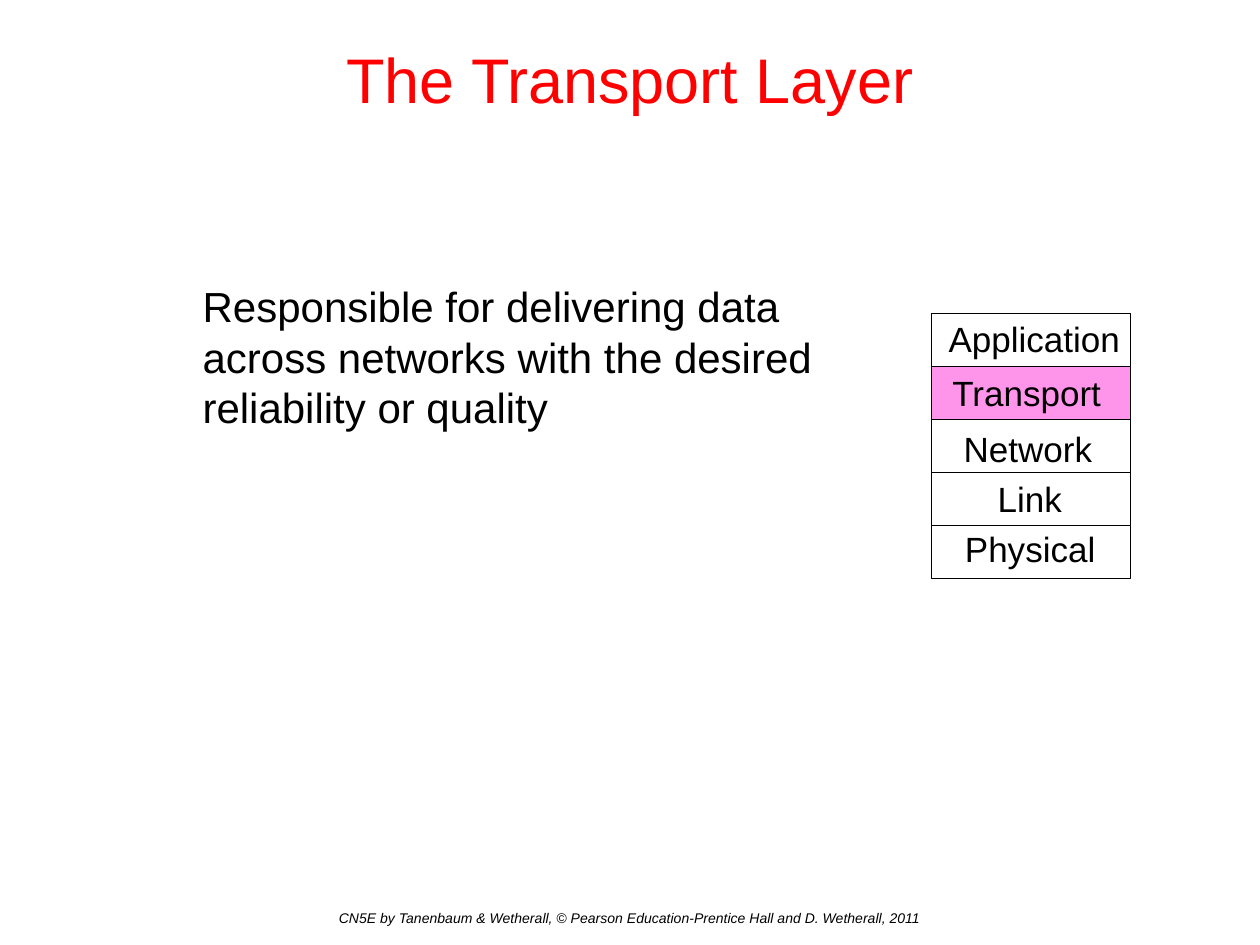
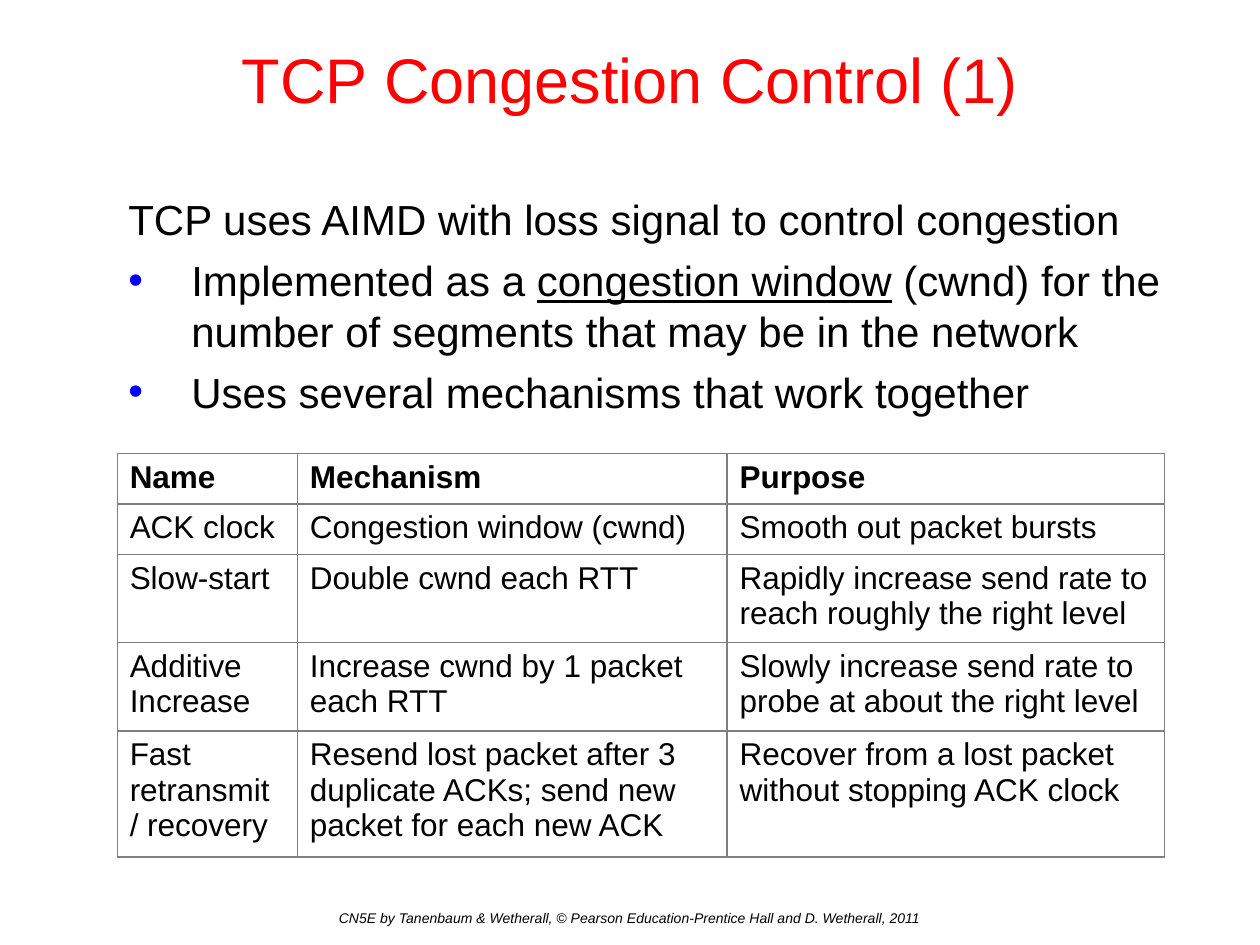
from lxml.etree import SubElement
from pptx import Presentation
from pptx.dml.color import RGBColor
from pptx.enum.shapes import MSO_SHAPE as Shape
from pptx.enum.text import MSO_ANCHOR as Anchor, MSO_AUTO_SIZE as AutoSize, PP_ALIGN as Align
from pptx.oxml.ns import qn
from pptx.util import Inches, Pt

FONT = "Arial"
RED = RGBColor(0xFF, 0x00, 0x00)
BLUE = RGBColor(0x00, 0x00, 0xFF)
BLACK = RGBColor(0x00, 0x00, 0x00)
WHITE = RGBColor(0xFF, 0xFF, 0xFF)
GRAY = RGBColor(0x7F, 0x7F, 0x7F)
PINK = RGBColor(0xFF, 0x2B, 0xD8)

FOOTER = ("CN5E by Tanenbaum & Wetherall, © Pearson Education-Prentice Hall "
          "and D. Wetherall, 2011")

# Paragraphs are (bulleted, [(text, underlined), ...])
LAYER_TITLE = "The Transport Layer"
LAYER_BODY = [
    (False, [("Responsible for delivering data across networks with the "
              "desired reliability or quality", False)]),
]
# Layer name, then left, top and width of its label
LAYERS = [
    ("Application", 7.43, 2.47, 1.56),
    ("Transport", 7.46, 2.9, 1.39),
    ("Network", 7.55, 3.34, 1.22),
    ("Link", 7.82, 3.74, 0.71),
    ("Physical", 7.56, 4.14, 1.26),
]
CURRENT_LAYER = "Transport"
STACK_LEFT, STACK_TOP, LAYER_WIDTH, LAYER_HEIGHT = 7.39, 2.49, 1.58, 0.42
LABEL_HEIGHT = 0.44

CONGESTION_TITLE = "TCP Congestion Control (1)"
CONGESTION_BODY = [
    (False, [("TCP uses AIMD with loss signal to control congestion", False)]),
    (True, [("Implemented as a ", False), ("congestion window", True),
            (" (cwnd) for the number of segments that may be in the network", False)]),
    (True, [("Uses several mechanisms that work together", False)]),
]
MECHANISMS = [
    ("Name", "Mechanism", "Purpose"),
    ("ACK clock", "Congestion window (cwnd)", "Smooth out packet bursts"),
    ("Slow-start", "Double cwnd each RTT",
     "Rapidly increase send rate to reach roughly the right level"),
    ("Additive Increase", "Increase cwnd by 1 packet each RTT",
     "Slowly increase send rate to probe at about the right level"),
    ("Fast retransmit / recovery",
     "Resend lost packet after 3 duplicate ACKs; send new packet for each new ACK",
     "Recover from a lost packet without stopping ACK clock"),
]
COLUMN_WIDTHS = (1.43, 3.41, 3.47)
ROW_HEIGHTS = (0.4, 0.4, 0.7, 0.7, 1.0)


def add_run(paragraph, text, size, color=BLACK, bold=False, italic=False, underline=False):
    run = paragraph.add_run()
    run.text = text
    font = run.font
    font.name, font.size, font.color.rgb = FONT, Pt(size), color
    font.bold, font.italic, font.underline = bold, italic, underline


def add_frame(shapes, left, top, width, height):
    box = shapes.add_textbox(Inches(left), Inches(top), Inches(width), Inches(height))
    box.text_frame.word_wrap = True
    return box.text_frame


def add_slide(deck, title):
    """Add a slide with the shared title and footer."""
    slide = deck.slides.add_slide(deck.slide_layouts[6])
    heading = add_frame(slide.shapes, 0, 0, 10, 1.25)
    heading.vertical_anchor = Anchor.MIDDLE
    footer = add_frame(slide.shapes, 0, 7.17, 10, 0.33)
    for frame in (heading, footer):
        frame.paragraphs[0].alignment = Align.CENTER
    add_run(heading.paragraphs[0], title, 36, RED)
    add_run(footer.paragraphs[0], FOOTER, 8, italic=True)
    return slide


def add_bullet(paragraph):
    properties = paragraph._p.get_or_add_pPr()
    properties.set("marL", str(Inches(0.5)))
    properties.set("indent", str(-Inches(0.5)))
    color = SubElement(properties, qn("a:buClr"))
    SubElement(color, qn("a:srgbClr"), val=str(BLUE))
    SubElement(properties, qn("a:buFont"), typeface=FONT)
    SubElement(properties, qn("a:buChar"), char="•")


def add_body(slide, paragraphs, left, top, width, height):
    frame = add_frame(slide.shapes, left, top, width, height)
    for index, (bulleted, runs) in enumerate(paragraphs):
        paragraph = frame.add_paragraph() if index else frame.paragraphs[0]
        if bulleted:
            add_bullet(paragraph)
        if index:
            paragraph.space_before = Pt(6)
        for text, underlined in runs:
            add_run(paragraph, text, 24, underline=underlined)


def add_layer_stack(slide):
    shapes = slide.shapes.add_group_shape().shapes
    for index, (name, *_) in enumerate(LAYERS):
        top = STACK_TOP + index * LAYER_HEIGHT
        layer = shapes.add_shape(Shape.RECTANGLE, Inches(STACK_LEFT), Inches(top),
                                 Inches(LAYER_WIDTH), Inches(LAYER_HEIGHT))
        layer.shadow.inherit = False
        layer.line.color.rgb, layer.line.width = BLACK, Pt(0.75)
        if name == CURRENT_LAYER:
            layer.fill.solid()
            layer.fill.fore_color.rgb = PINK
            tint = layer._element.spPr.find(f"{qn('a:solidFill')}/{qn('a:srgbClr')}")
            SubElement(tint, qn("a:alpha"), val="50000")
        else:
            layer.fill.background()
    for name, left, top, width in LAYERS:
        label = add_frame(shapes, left, top, width, LABEL_HEIGHT)
        label.word_wrap = False
        label.auto_size = AutoSize.SHAPE_TO_FIT_TEXT
        add_run(label.paragraphs[0], name, 20)


def add_borders(cell):
    properties = cell._tc.get_or_add_tcPr()
    for side in ("lnL", "lnR", "lnT", "lnB"):
        border = SubElement(properties, qn(f"a:{side}"), w=str(Pt(0.75)))
        fill = SubElement(border, qn("a:solidFill"))
        SubElement(fill, qn("a:srgbClr"), val=str(GRAY))


def add_mechanism_table(slide, left, top):
    table = slide.shapes.add_table(
        len(MECHANISMS), len(COLUMN_WIDTHS), Inches(left), Inches(top),
        Inches(sum(COLUMN_WIDTHS)), Inches(sum(ROW_HEIGHTS))).table
    for column, width in zip(table.columns, COLUMN_WIDTHS):
        column.width = Inches(width)
    for row, height in zip(table.rows, ROW_HEIGHTS):
        row.height = Inches(height)
    for row_index, texts in enumerate(MECHANISMS):
        for column_index, text in enumerate(texts):
            cell = table.cell(row_index, column_index)
            add_borders(cell)
            cell.fill.solid()
            cell.fill.fore_color.rgb = WHITE
            add_run(cell.text_frame.paragraphs[0], text, 18, bold=row_index == 0)


def main():
    deck = Presentation()
    deck.slide_width, deck.slide_height = Inches(10), Inches(7.5)

    layer_slide = add_slide(deck, LAYER_TITLE)
    add_body(layer_slide, LAYER_BODY, 1.51, 2.18, 5.66, 4.4)
    add_layer_stack(layer_slide)

    congestion_slide = add_slide(deck, CONGESTION_TITLE)
    add_body(congestion_slide, CONGESTION_BODY, 0.92, 1.49, 8.52, 5.03)
    add_mechanism_table(congestion_slide, 0.93, 3.6)

    deck.save("out.pptx")


if __name__ == "__main__":
    main()
